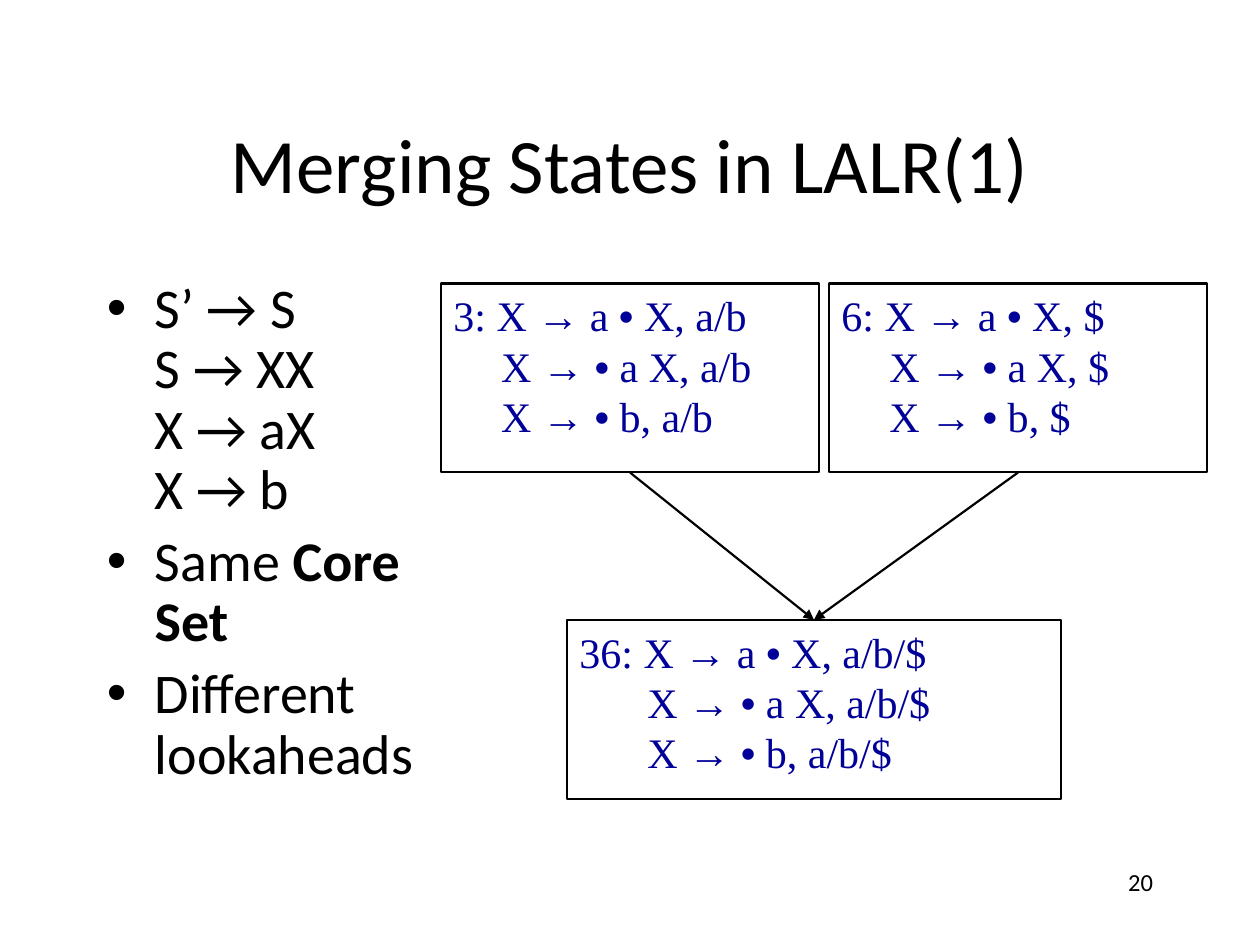
"""Build the slide on merging LALR(1) states."""
from lxml import etree
from pptx import Presentation
from pptx.dml.color import RGBColor
from pptx.enum import shapes, text
from pptx.oxml import ns
from pptx.util import Inches, Pt

BLACK = RGBColor(0x00, 0x00, 0x00)
NAVY = RGBColor(0x00, 0x00, 0x99)


def style(paragraph, name, size, color):
    paragraph.font.name = name
    paragraph.font.size = Pt(size)
    paragraph.font.color.rgb = color


def hang(paragraph, indent):
    properties = paragraph._p.get_or_add_pPr()
    properties.set("marL", str(Inches(indent)))
    properties.set("indent", str(-Inches(indent)))
    return properties


deck = Presentation()
deck.slide_width, deck.slide_height = Inches(10), Inches(7.5)
slide = deck.slides.add_slide(deck.slide_layouts[5])

title = slide.shapes.title
title.left, title.top = Inches(0.75), Inches(0.67)
title.width, title.height = Inches(8.5), Inches(1.25)
title.text_frame.text = "Merging States in LALR(1)"
title.text_frame.vertical_anchor = text.MSO_ANCHOR.MIDDLE
heading = title.text_frame.paragraphs[0]
heading.alignment = text.PP_ALIGN.CENTER
style(heading, "Calibri", 44, BLACK)

points = [
    [("S’ → S\vS → XX\vX → aX\vX → b", False)],
    [("Same ", False), ("Core Set", True)],
    [("Different\vlookaheads", False)],
]
grammar = slide.shapes.add_textbox(Inches(0.75), Inches(2.17), Inches(3), Inches(4.42)).text_frame
grammar.word_wrap = True
for index, pieces in enumerate(points):
    point = grammar.add_paragraph() if index else grammar.paragraphs[0]
    point.line_spacing = 0.9
    if index:
        point.space_before = Pt(6.4)
    bullet_font = etree.SubElement(hang(point, 0.38), ns.qn("a:buFont"))
    bullet_font.set("typeface", "Arial")
    etree.SubElement(point._p.pPr, ns.qn("a:buChar")).set("char", "•")
    style(point, "Calibri", 32, BLACK)
    for wording, bold in pieces:
        for number, line in enumerate(wording.split("\v")):
            if number:
                point.add_line_break()
            run = point.add_run()
            run.text = line
            if bold:
                run.font.bold = True

states = [
    ("3", "a/b", 3.5, 2.25, 3, 1.5, 0.38),
    ("6", "$", 6.58, 2.25, 3, 1.5, 0.38),
    ("36", "a/b/$", 4.5, 4.92, 3.92, 1.42, 0.54),
]
boxes = {}
for state, lookahead, left, top, width, height, indent in states:
    box = slide.shapes.add_shape(
        shapes.MSO_SHAPE.RECTANGLE, Inches(left), Inches(top), Inches(width), Inches(height))
    box.shadow.inherit = False
    box.fill.background()
    box.line.color.rgb = BLACK
    box.line.width = Pt(1.25)
    box.text_frame.vertical_anchor = text.MSO_ANCHOR.TOP
    items = box.text_frame.paragraphs[0]
    items.alignment = text.PP_ALIGN.LEFT
    hang(items, indent)
    style(items, "Times New Roman", 24, NAVY)
    productions = [
        (f"{state}: X → a ", f" X, {lookahead}"),
        ("X → ", f" a X, {lookahead}"),
        ("X → ", f" b, {lookahead}"),
    ]
    for number, (before, after) in enumerate(productions):
        if number:
            items.add_line_break()
        for piece in (before, "•", after):
            run = items.add_run()
            run.text = piece
            if piece == "•":
                run.font.bold = True
    boxes[state] = box

for source in ("3", "6"):
    arrow = slide.shapes.add_connector(shapes.MSO_CONNECTOR.STRAIGHT, 0, 0, 0, 0)
    arrow.begin_connect(boxes[source], 2)
    arrow.end_connect(boxes["36"], 0)
    arrow.line.color.rgb = BLACK
    arrow.line.width = Pt(1.25)
    etree.SubElement(arrow.line._get_or_add_ln(), ns.qn("a:tailEnd")).set("type", "triangle")
    etree.SubElement(arrow._element.spPr, ns.qn("a:effectLst"))

page = slide.shapes.add_textbox(Inches(7.17), Inches(6.83), Inches(2.08), Inches(0.5)).text_frame
page.word_wrap = True
page.text = "20"
page.paragraphs[0].alignment = text.PP_ALIGN.RIGHT
style(page.paragraphs[0], "Calibri", 14, BLACK)

deck.save("out.pptx")
